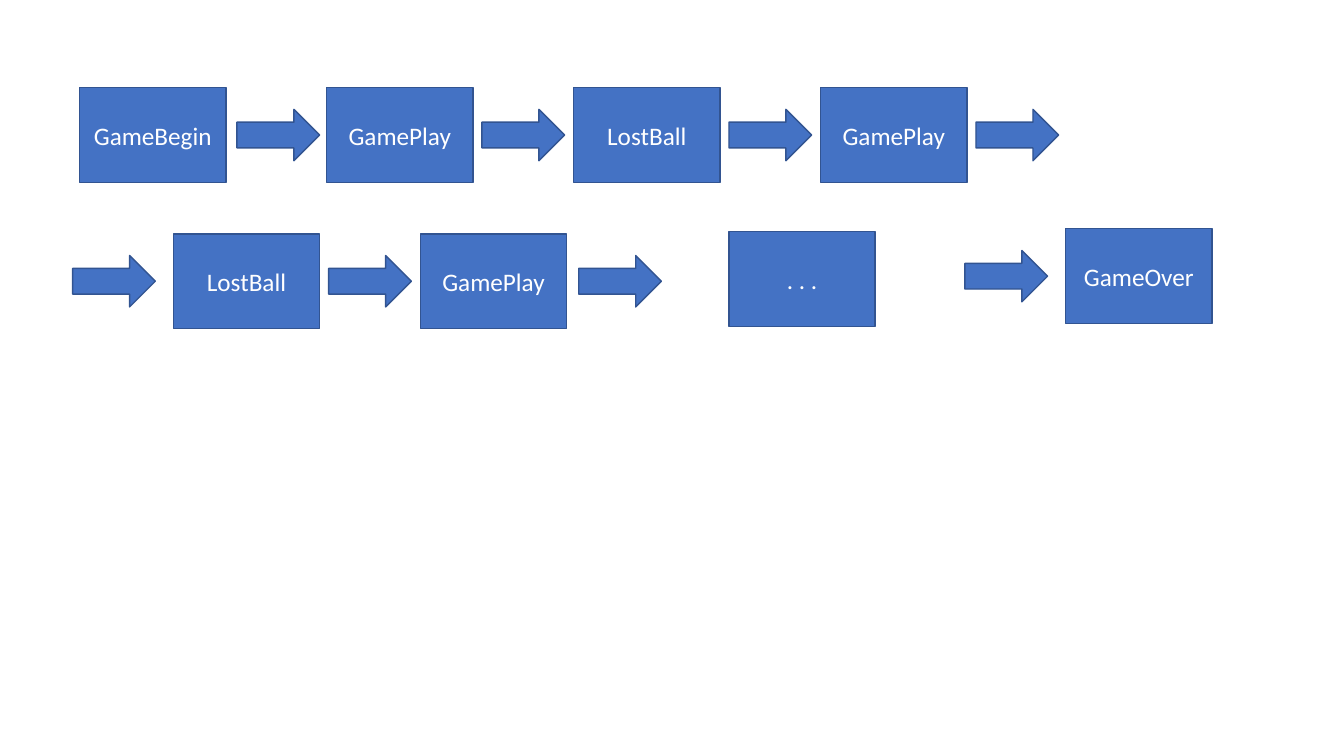
from pptx import Presentation
from pptx import util as u
from pptx.dml.color import RGBColor
from pptx.enum import shapes, text

STATE_W, STATE_H = 1.45, 0.94
ARROW_W, ARROW_H = 0.82, 0.51
PITCH = 2.45


def color(hex_value):
    return RGBColor.from_string(hex_value)


def add_block(s, kind, x, y, w, h):
    sp = s.shapes.add_shape(kind, u.Inches(x), u.Inches(y), u.Inches(w), u.Inches(h))
    sp.shadow.inherit = False
    sp.fill.solid()
    sp.fill.fore_color.rgb = color("4472C4")
    sp.line.color.rgb = color("325491")
    sp.line.width = u.Pt(1)
    return sp


def add_state(s, name, x, y):
    sp = add_block(s, shapes.MSO_SHAPE.RECTANGLE, x, y, STATE_W, STATE_H)
    tf = sp.text_frame
    tf.word_wrap = True
    tf.vertical_anchor = text.MSO_ANCHOR.MIDDLE
    p = tf.paragraphs[0]
    p.alignment = text.PP_ALIGN.CENTER
    r = p.add_run()
    r.text = name
    r.font.name = "Calibri"
    r.font.size = u.Pt(18)
    r.font.color.rgb = color("FFFFFF")


def add_arrow(s, x, state_y):
    """Place an arrow centred on the height of a state box."""
    y = state_y + (STATE_H - ARROW_H) / 2
    add_block(s, shapes.MSO_SHAPE.RIGHT_ARROW, x, y, ARROW_W, ARROW_H)


def add_opening_row(s, x, y):
    names = ["GameBegin", "GamePlay", "LostBall", "GamePlay"]
    arrow_offsets = [1.56, 1.54, 1.54, 1.54]
    for i, (name, offset) in enumerate(zip(names, arrow_offsets)):
        left = x + i * PITCH
        add_state(s, name, left, y)
        add_arrow(s, left + offset, y)


def add_closing_row(s, x, y):
    add_arrow(s, x, y)
    for i, (name, offset) in enumerate([("LostBall", 1.54), ("GamePlay", 1.57)]):
        left = x + 1 + i * PITCH
        add_state(s, name, left, y)
        add_arrow(s, left + offset, y)
    add_state(s, ". . .", x + 6.51, y - 0.02)
    add_arrow(s, x + 8.85, y - 0.05)
    add_state(s, "GameOver", x + 9.85, y - 0.05)


def main():
    prs = Presentation()
    prs.slide_width, prs.slide_height = u.Inches(13.33), u.Inches(7.5)
    s = prs.slides.add_slide(prs.slide_layouts[6])
    add_opening_row(s, 0.79, 0.87)
    add_closing_row(s, 0.72, 2.32)
    prs.save("out.pptx")


if __name__ == "__main__":
    main()
